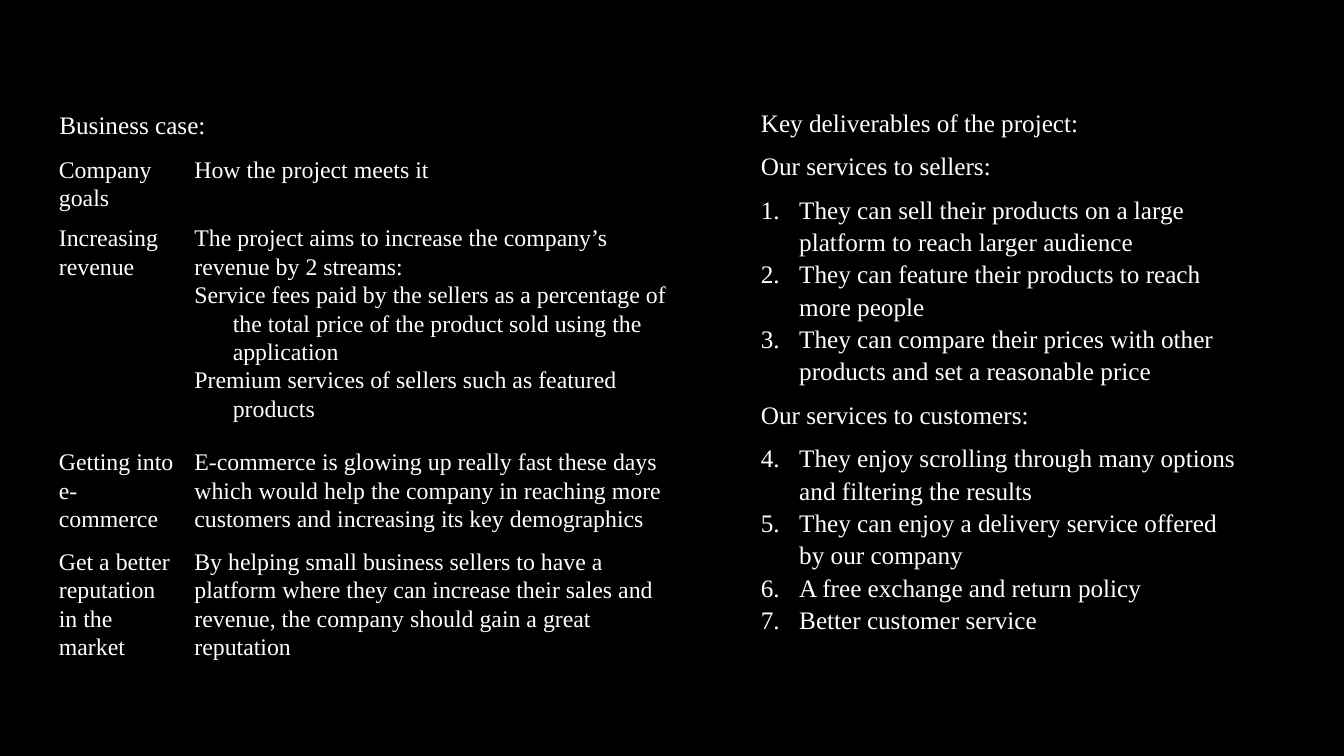
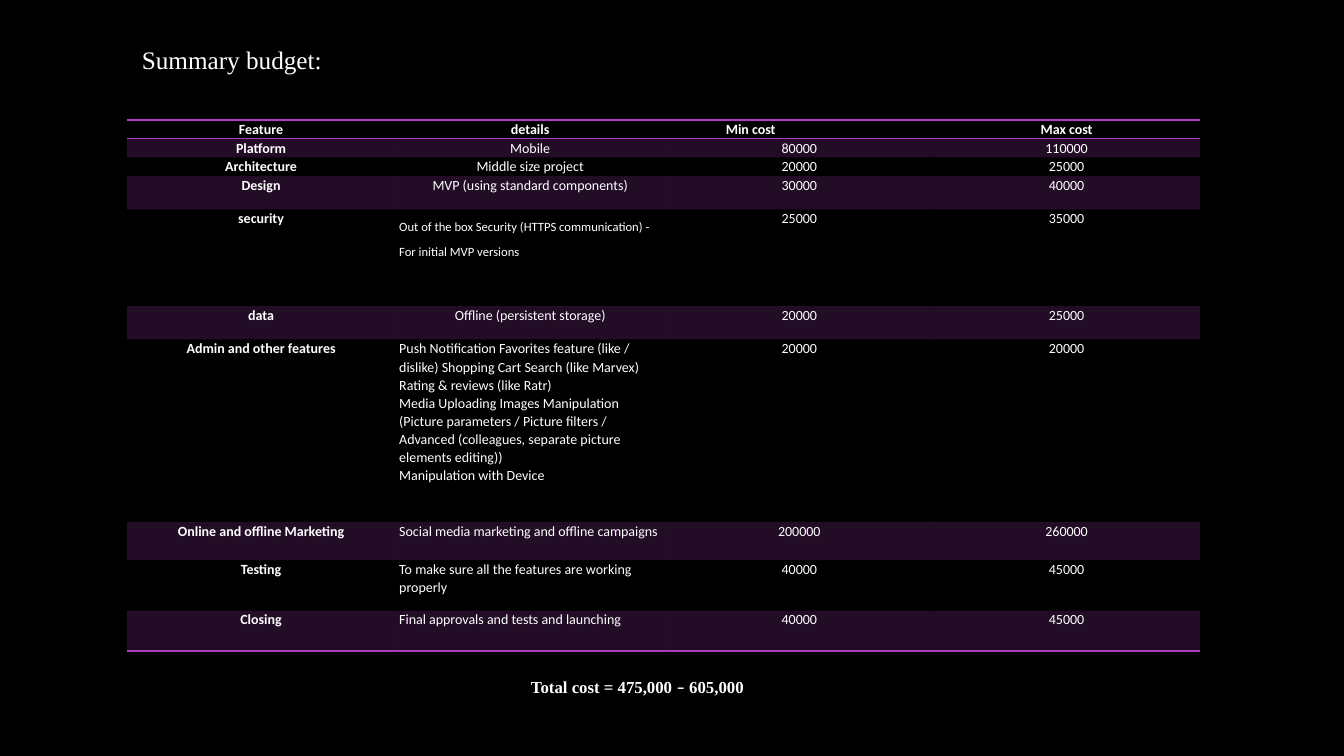
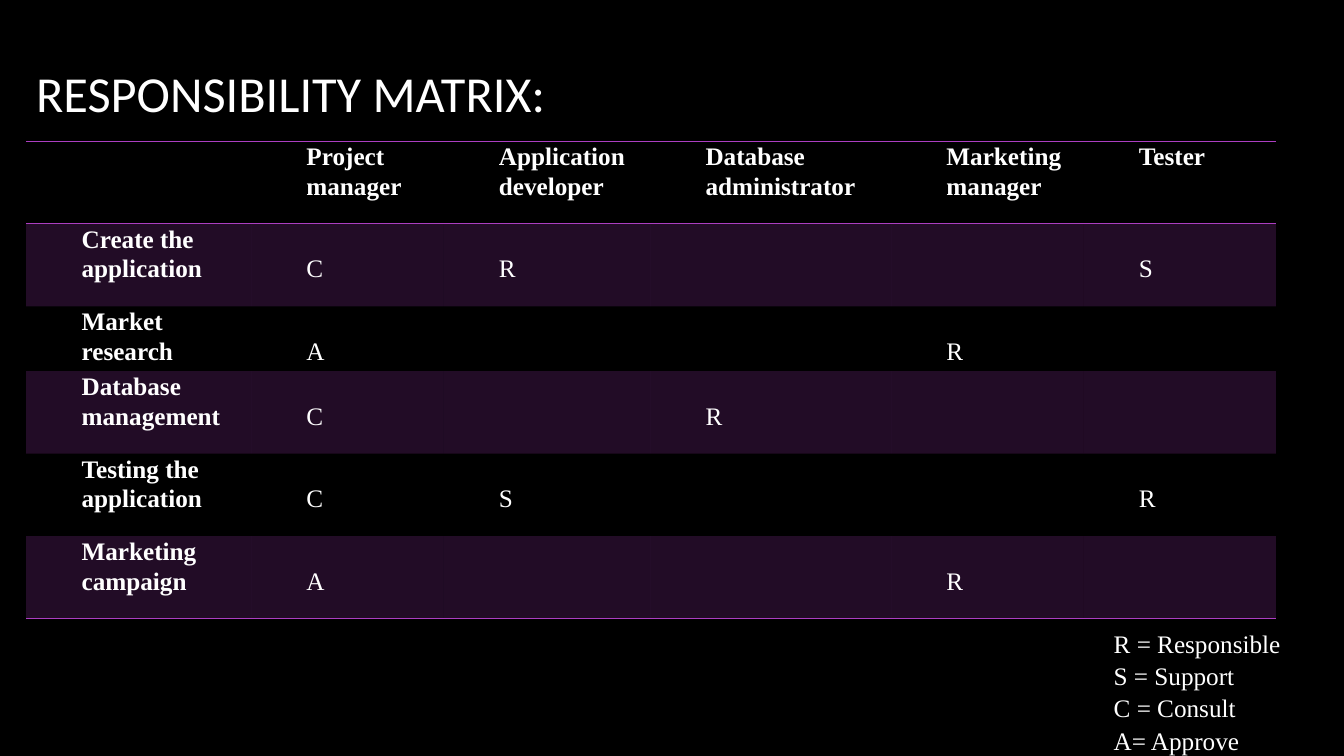
import pptx
import pptx.dml.color
import pptx.enum.text
import pptx.oxml
import pptx.oxml.ns
import pptx.util

Pt = pptx.util.Pt
TOP = pptx.enum.text.MSO_ANCHOR.TOP
MID = pptx.enum.text.MSO_ANCHOR.MIDDLE
MIDDLE = pptx.enum.text.PP_ALIGN.CENTER
HUES = {"back": "000000", "text": "FFFFFF", "mark": "AC3EC1"}
SERIF, SANS = "Times New Roman", "Calibri"
PLAIN = "{2D5ABB26-0587-4C30-8999-92F81FD0307C}"


def hue(name):
    return pptx.dml.color.RGBColor.from_string(HUES[name])


def node(tag, body="", **attrs):
    text = "".join(f' {key}="{val}"' for key, val in attrs.items())
    return pptx.oxml.parse_xml(
        f'<a:{tag} {pptx.oxml.ns.nsdecls("a")}{text}>{body}</a:{tag}>')


def apply(target, values):
    for key, val in values.items():
        setattr(target, key, val)


class Deck:
    def __init__(self):
        self.prs = pptx.Presentation()
        apply(self.prs, {"slide_width": Pt(960), "slide_height": Pt(540)})
        fill = self.prs.slide_master.background.fill
        fill.solid()
        fill.fore_color.rgb = hue("back")
        self.slide = None

    def page(self):
        self.slide = self.prs.slides.add_slide(self.prs.slide_layouts[6])

    def paras(self, frame, items, base):
        """Fill a frame; an item is a text or a (text, own format) pair."""
        for num, item in enumerate(items):
            text, own = item if isinstance(item, tuple) else (item, {})
            para = frame.paragraphs[0] if num == 0 else frame.add_paragraph()
            self.para(para, text, {**base, **own})

    def para(self, para, text, style):
        """Set one paragraph; a list as text holds (text, face) runs."""
        face = style.get("face", SERIF)
        apply(para, {"line_spacing": style.get("lead", 1.07),
                     "space_after": Pt(style.get("after", 0)),
                     "alignment": style.get("align")})
        props = para._p.get_or_add_pPr()
        props.set("marL", str(Pt(style.get("left", 0))))
        props.set("indent", str(Pt(style.get("first", 0))))
        if "start" in style:
            props.append(node("buAutoNum", type="arabicPeriod",
                              startAt=style["start"]))
        for words, name in text if isinstance(text, list) else [(text, face)]:
            run = para.add_run()
            run.text = words
            apply(run.font, {"name": name, "size": Pt(style.get("size", 18)),
                             "bold": style.get("bold", False)})
            run.font.color.rgb = hue("text")

    def text(self, box, items, anchor=TOP, **base):
        shape = self.slide.shapes.add_textbox(*map(Pt, box))
        apply(shape.text_frame, {"word_wrap": True, "vertical_anchor": anchor})
        self.paras(shape.text_frame, items, base)

    def grid(self, spot, cols, rows, cells, look, ruled=True, pads=(0, 0)):
        """Add a table; look(row, col) gives the format of a cell."""
        frame = self.slide.shapes.add_table(
            len(rows), len(cols), *map(Pt, (*spot, sum(cols), sum(rows))))
        table = frame.table
        apply(table, {"first_row": False, "horz_banding": False})
        for style in frame.element.iter(pptx.oxml.ns.qn("a:tableStyleId")):
            style.text = PLAIN
        for col, width in zip(table.columns, cols):
            col.width = Pt(width)
        for row, height in zip(table.rows, rows):
            row.height = Pt(height)
        side, top = pads
        for r, line in enumerate(cells):
            for c, items in enumerate(line):
                cell, style = table.cell(r, c), look(r, c)
                apply(cell, {"margin_left": Pt(side), "margin_right": Pt(side),
                             "margin_top": Pt(style.get("drop", top)),
                             "margin_bottom": Pt(0)})
                if items:
                    items = items if isinstance(items, list) else [items]
                    self.paras(cell.text_frame, items, style)
                self.tint(cell, ruled and r % 2 == 1)
                if ruled:
                    edges = "TB" if r == 0 else "B" * (r == len(rows) - 1)
                    self.edge(cell, edges, "mark")
                else:
                    self.edge(cell, "LRTB", "back")

    def tint(self, cell, banded):
        if not banded:
            cell.fill.background()
            return
        cell.fill.solid()
        cell.fill.fore_color.rgb = hue("mark")
        for color in cell._tc.tcPr.iter(pptx.oxml.ns.qn("a:srgbClr")):
            color.append(node("alpha", val=20000))

    def edge(self, cell, sides, name):
        props = cell._tc.get_or_add_tcPr()
        body = f'<a:solidFill><a:srgbClr val="{HUES[name]}"/></a:solidFill>'
        for num, side in enumerate(sides):
            props.insert(num, node("ln" + side, body, w=Pt(1)))


def case(deck):
    deck.page()
    deck.text((35.3, 69.1, 181.4, 38.9), ["Business case:"], MID, lead=1)
    hang = {"left": 27.4, "first": -27.4}
    cells = [
        ["Company goals", "How the project meets it"],
        ["Increasing revenue", [
            "The project aims to increase the company’s revenue by 2 streams:",
            ("Service fees paid by the sellers as a percentage of the total "
             "price of the product sold using the application", hang),
            ("Premium services of sellers such as featured products", hang)]],
        ["Getting into e-commerce",
         "E-commerce is glowing up really fast these days which would help "
         "the company in reaching more customers and increasing its key "
         "demographics"],
        ["Get a better reputation in the market",
         "By helping small business sellers to have a platform where they can "
         "increase their sales and revenue, the company should gain a great "
         "reputation"]]
    deck.grid((35.3, 110.2), [96.8, 366.5], [49, 159.8, 71.3, 92.9], cells,
              lambda r, c: {"size": 17}, ruled=False, pads=(6.8, 0.7))

    def steps(start, *lines):
        last = len(lines) - 1
        return [(line, {**hang, "start": start, "after": 8 * (num == last)})
                for num, line in enumerate(lines)]

    deck.text((536.4, 71.3, 359.3, 400), [
        "Key deliverables of the project:",
        "Our services to sellers:",
        *steps(1,
               "They can sell their products on a large platform to reach "
               "larger audience",
               "They can feature their products to reach more people",
               "They can compare their prices with other products and set a "
               "reasonable price"),
        "Our services to customers:",
        *steps(4,
               "They enjoy scrolling through many options and filtering the "
               "results",
               "They can enjoy a delivery service offered by our company",
               "A free exchange and return policy",
               "Better customer service")], after=8)


def budget(deck):
    deck.page()
    cells = [
        ["Feature", "details", ("Min cost", {"align": None, "left": 40.3}),
         "Max cost"],
        ["Platform", "Mobile", "80000", "110000"],
        ["Architecture", "Middle size project", "20000", "25000"],
        ["Design", "MVP (using standard components)", "30000", "40000"],
        ["security",
         ("Out of the box Security (HTTPS communication) - For initial MVP "
          "versions", {"size": 9, "lead": Pt(18)}), "25000", "35000"],
        ["data", "Offline (persistent storage)", "20000", "25000"],
        ["Admin and other features", [
            "Push Notification Favorites feature (like / dislike) Shopping "
            "Cart Search (like Marvex)",
            "Rating & reviews (like Ratr)",
            "Media Uploading Images Manipulation (Picture parameters / "
            "Picture filters / Advanced (colleagues, separate picture "
            "elements editing))",
            "Manipulation with Device"], "20000", "20000"],
        ["Online and offline Marketing",
         "Social media marketing and offline campaigns", "200000", "260000"],
        ["Testing", "To make sure all the features are working properly",
         "40000", "45000"],
        ["Closing", "Final approvals and tests and launching",
         "40000", "45000"]]

    def look(r, c):
        long = c == 1 and r in (4, 6, 7, 8, 9)
        return {"size": 10, "face": SANS, "bold": r == 0 or c == 0,
                "align": None if long else MIDDLE}

    rows = [13.4] * 3 + [23.8, 69.1, 23.8, 130.3, 27.4, 36, 28.8]
    deck.grid((90.7, 85.7), [191.5, 193, 191.5, 190.4], rows, cells, look,
              pads=(3, 0))
    deck.text((372.2, 478.8, 329, 23.8),
              [[("Total cost = 475,000 ", SERIF), ("–", SANS),
                (" 605,000", SERIF)]], MID, size=12, bold=True, lead=1)
    deck.text((94.3, 28.1, 345.6, 30), ["Summary budget:"], lead=1)


def matrix(deck):
    deck.page()
    deck.text((18.7, 8.6, 797.8, 114.5), ["RESPONSIBILITY MATRIX:"], MID,
              size=36, face=SANS, lead=1)
    cells = [
        ["", "Project manager", "Application developer",
         "Database administrator", "Marketing manager", "Tester"],
        ["Create the application", "C", "R", "", "", "S"],
        ["Market research", "A", "", "", "R", ""],
        ["Database management", "C", "", "R", "", ""],
        ["Testing the application", "C", "S", "", "", "R"],
        ["Marketing campaign", "A", "", "", "R", ""]]

    def look(r, c):
        head = r == 0 or c == 0
        return {"left": 36, "bold": head, "drop": 0 if head else 21.2}

    deck.grid((18.7, 100.8), [160.6, 137.5, 147.6, 172.1, 137.5, 137.5],
              [59, 59, 43.9, 59, 59, 59], cells, look, pads=(3.6, 0))
    deck.text((752.4, 443.5, 207.4, 96),
              ["R = Responsible", "S = Support", "C = Consult", "A= Approve"],
              left=36)


def main():
    deck = Deck()
    for build in (case, budget, matrix):
        build(deck)
    deck.prs.save("out.pptx")


if __name__ == "__main__":
    main()
